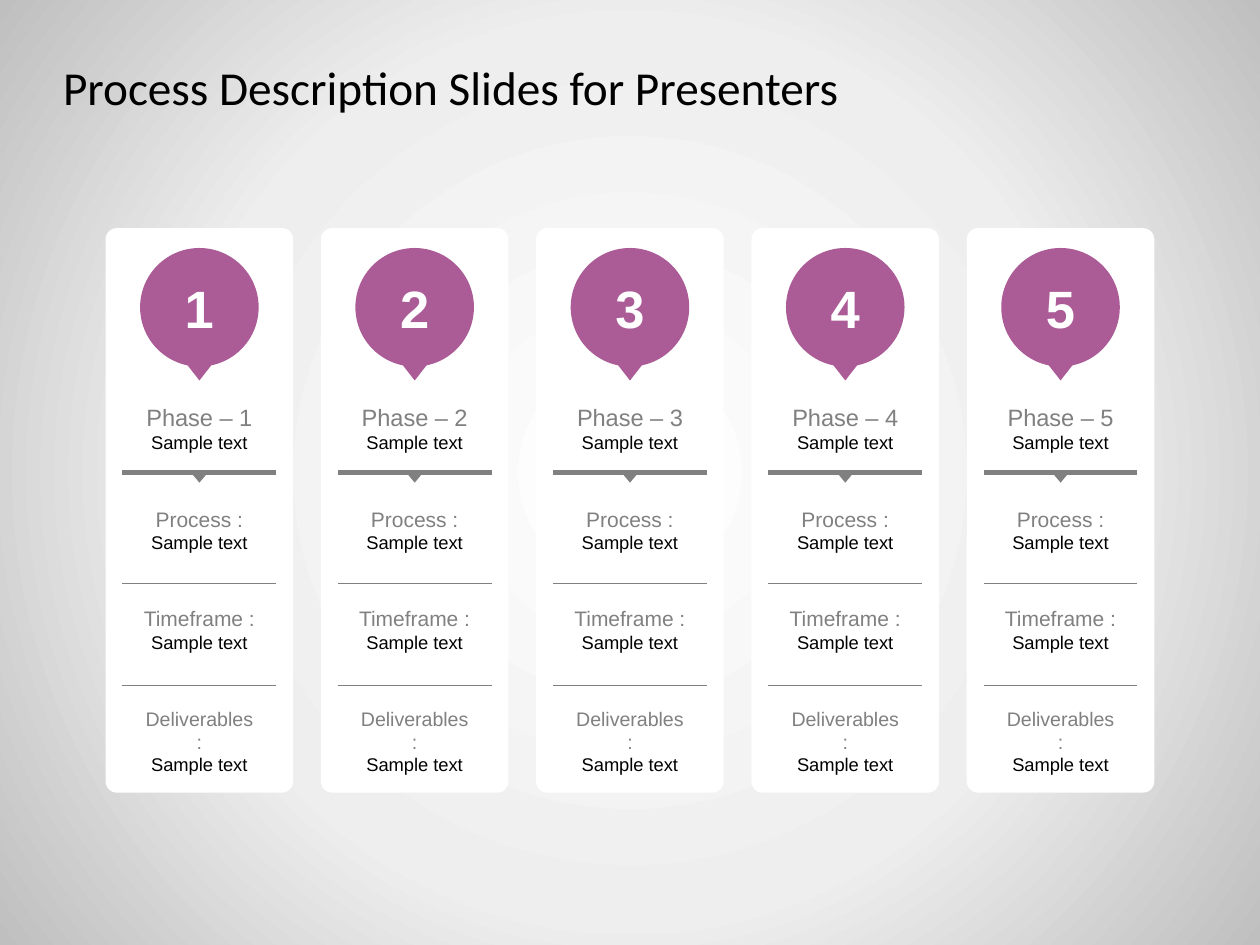
from pptx import Presentation
from pptx import util as u
from pptx.dml.color import RGBColor
from pptx.enum import shapes, text
from pptx.oxml import parse_xml
from pptx.oxml.ns import nsdecls, qn

PURPLE, GRAY, WHITE, BLACK = "AB5C96", "808080", "FFFFFF", "000000"
CENTER, PITCH, COUNT = 12.7, 4.34, 5
CARD_WIDTH, TEXT_WIDTH, RULE_WIDTH = 3.78, 2.87, 3.1
SECTIONS = [
    ("Phase – {}", 13.5, 8.0, 1.27),
    ("Process :", 12, 10.08, 1.22),
    ("Timeframe :", 12, 12.09, 1.22),
    ("Deliverables :", 11.2, 14.12, 1.68),
]
RULES = [(13.82, 0.75), (11.76, 0.75), (9.53, 3)]


def color(value):
    return RGBColor.from_string(value)


def write(paragraph, content, size, fill=BLACK, font="Arial", bold=False,
          align=text.PP_ALIGN.CENTER):
    paragraph.alignment = align
    run = paragraph.add_run()
    run.text = content
    run.font.name = font
    run.font.size = u.Pt(size)
    run.font.bold = bold
    run.font.color.rgb = color(fill)


def set_margins(frame, horizontal, vertical):
    frame.margin_left = frame.margin_right = u.Cm(horizontal)
    frame.margin_top = frame.margin_bottom = u.Cm(vertical)


def set_background(slide):
    slide.background.fill.solid()
    properties = slide._element.find(".//" + qn("p:bgPr"))
    stops = "".join(
        f'<a:gs pos="{position}"><a:srgbClr val="{value}"/></a:gs>'
        for position, value in [(0, WHITE), (57000, "EEEEEE"), (100000, "BFBFBF")]
    )
    gradient = parse_xml(
        f'<a:gradFill {nsdecls("a")} rotWithShape="1"><a:gsLst>{stops}</a:gsLst>'
        '<a:path path="circle"><a:fillToRect l="50000" t="50000" r="50000" b="50000"/>'
        '</a:path></a:gradFill>'
    )
    properties.replace(properties[0], gradient)


def add_title(slide, content):
    title = slide.shapes.title
    title.left, title.top = u.Cm(1.27), u.Cm(0.76)
    title.width, title.height = u.Cm(22.86), u.Cm(1.98)
    frame = title.text_frame
    frame.vertical_anchor = text.MSO_ANCHOR.MIDDLE
    set_margins(frame, 0, 0.18)
    write(frame.paragraphs[0], content, 27, font="Calibri", align=text.PP_ALIGN.LEFT)


def add_centered(parent, kind, center, top, width, height, fill):
    shape = parent.shapes.add_shape(
        kind, u.Cm(center - width / 2), u.Cm(top), u.Cm(width), u.Cm(height))
    shape.shadow.inherit = False
    shape.fill.solid()
    shape.fill.fore_color.rgb = color(fill)
    shape.line.fill.background()
    return shape


def add_pointer(parent, center, top, width, height, fill):
    pointer = add_centered(parent, shapes.MSO_SHAPE.ISOSCELES_TRIANGLE,
                           center, top, width, height, fill)
    pointer.rotation = 180


def add_badge(slide, center, number):
    group = slide.shapes.add_group_shape()
    circle = add_centered(group, shapes.MSO_SHAPE.OVAL, center, 5.0, 2.39, 2.39, PURPLE)
    frame = circle.text_frame
    frame.vertical_anchor = text.MSO_ANCHOR.MIDDLE
    set_margins(frame, 0.38, 0.38)
    write(frame.paragraphs[0], str(number), 30, fill=WHITE, bold=True)
    add_pointer(group, center, 7.26, 0.64, 0.41, PURPLE)


def add_section(slide, center, heading, size, top, height):
    box = slide.shapes.add_textbox(
        u.Cm(center - TEXT_WIDTH / 2), u.Cm(top), u.Cm(TEXT_WIDTH), u.Cm(height))
    frame = box.text_frame
    frame.word_wrap = True
    frame.auto_size = text.MSO_AUTO_SIZE.SHAPE_TO_FIT_TEXT
    write(frame.paragraphs[0], heading, size, fill=GRAY)
    write(frame.add_paragraph(), "Sample text", 10.5)


def add_rule(slide, center, top, weight):
    rule = slide.shapes.add_connector(
        shapes.MSO_CONNECTOR.STRAIGHT,
        u.Cm(center - RULE_WIDTH / 2), u.Cm(top),
        u.Cm(center + RULE_WIDTH / 2), u.Cm(top))
    rule.line.color.rgb = color(GRAY)
    rule.line.width = u.Pt(weight)
    rule._element.spPr.append(parse_xml(f'<a:effectLst {nsdecls("a")}/>'))


def add_phase(slide, center, number):
    card = add_centered(slide, shapes.MSO_SHAPE.ROUNDED_RECTANGLE,
                        center, 4.6, CARD_WIDTH, 11.38, WHITE)
    card.adjustments[0] = 0.06
    add_badge(slide, center, number)
    for heading, size, top, height in SECTIONS:
        add_section(slide, center, heading.format(number), size, top, height)
    for top, weight in RULES:
        add_rule(slide, center, top, weight)
    add_pointer(slide, center, 9.55, 0.3, 0.18, GRAY)


def main():
    presentation = Presentation()
    presentation.slide_width, presentation.slide_height = u.Cm(25.4), u.Cm(19.05)
    slide = presentation.slides.add_slide(presentation.slide_layouts[5])
    set_background(slide)
    add_title(slide, "Process Description Slides for Presenters")
    for index in range(COUNT):
        add_phase(slide, CENTER + (index - COUNT // 2) * PITCH, index + 1)
    presentation.save("out.pptx")


if __name__ == "__main__":
    main()
